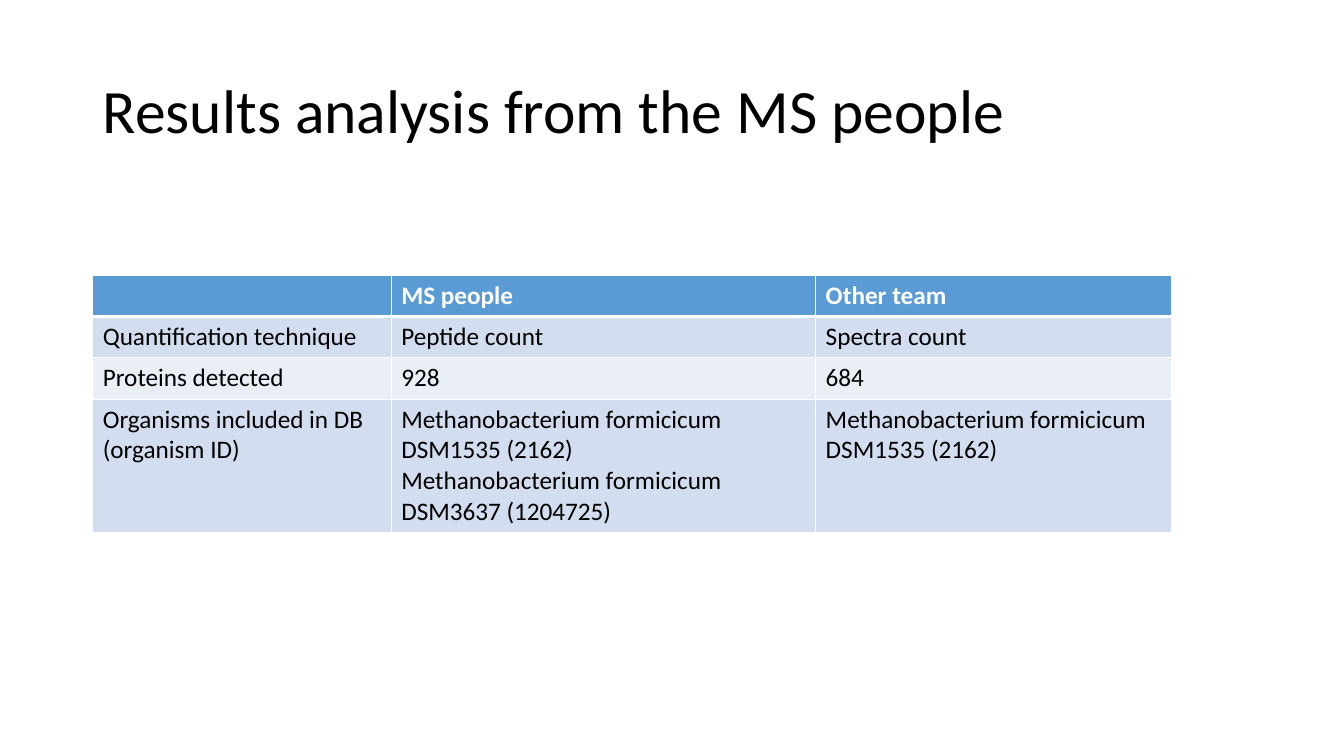
from dataclasses import dataclass

import pptx
import pptx.dml.color
import pptx.enum.text
import pptx.oxml
import pptx.oxml.ns
import pptx.util
from pptx.util import Inches

WHITE = pptx.dml.color.RGBColor(0xFF, 0xFF, 0xFF)
BLACK = pptx.dml.color.RGBColor(0x00, 0x00, 0x00)
BLUE = pptx.dml.color.RGBColor(0x5B, 0x9B, 0xD5)
BAND_DARK = pptx.dml.color.RGBColor(0xD2, 0xDE, 0xEF)
BAND_LIGHT = pptx.dml.color.RGBColor(0xEA, 0xEF, 0xF7)
FONT = "Calibri"

DSM1535 = "Methanobacterium formicicum DSM1535 (2162)"
DSM3637 = "Methanobacterium formicicum DSM3637 (1204725)"
COLUMN_WIDTHS = (2.96, 4.21, 3.53)


@dataclass(frozen=True)
class Row:
    cells: tuple[str, ...]
    fill: pptx.dml.color.RGBColor
    height: float = 0.41
    color: pptx.dml.color.RGBColor = BLACK
    bold: bool = False
    top: int = 1
    bottom: int = 1


ROWS = (
    Row(("", "MS people", "Other team"), BLUE, color=WHITE, bold=True, bottom=3),
    Row(("Quantification technique", "Peptide count", "Spectra count"), BAND_DARK, top=3),
    Row(("Proteins detected", "928", "684"), BAND_LIGHT),
    Row(("Organisms included in DB (organism ID)", f"{DSM1535}\n{DSM3637}", DSM1535),
        BAND_DARK, height=1.31),
)


def add_run(p, text: str, size: int, color: pptx.dml.color.RGBColor, bold: bool = False) -> None:
    r = p.add_run()
    r.text = text
    r.font.name = FONT
    r.font.size = pptx.util.Pt(size)
    r.font.bold = bold
    r.font.color.rgb = color


def set_borders(cell, row: Row) -> None:
    """Draw white cell borders, with widths in points taken from the row."""
    tc_pr = cell._tc.get_or_add_tcPr()
    widths = {"lnL": 1, "lnR": 1, "lnT": row.top, "lnB": row.bottom}
    for i, (tag, width) in enumerate(widths.items()):
        tc_pr.insert(i, pptx.oxml.parse_xml(
            f'<a:{tag} {pptx.oxml.ns.nsdecls("a")} w="{pptx.util.Pt(width)}">'
            f'<a:solidFill><a:srgbClr val="{WHITE}"/></a:solidFill></a:{tag}>'))


def add_title(s, text: str) -> None:
    sp = s.shapes.title
    sp.left, sp.top, sp.width, sp.height = map(Inches, (0.92, 0.4, 11.5, 1.45))
    tf = sp.text_frame
    tf.word_wrap = True
    tf.auto_size = pptx.enum.text.MSO_AUTO_SIZE.NONE
    tf.vertical_anchor = pptx.enum.text.MSO_ANCHOR.MIDDLE
    p = tf.paragraphs[0]
    p.alignment = pptx.enum.text.PP_ALIGN.LEFT
    p.line_spacing = 0.9
    add_run(p, text, 44, BLACK)


def add_results_table(s) -> None:
    height = sum(row.height for row in ROWS)
    table = s.shapes.add_table(len(ROWS), len(COLUMN_WIDTHS), Inches(0.92), Inches(2.73),
                               Inches(sum(COLUMN_WIDTHS)), Inches(height)).table
    for column, width in zip(table.columns, COLUMN_WIDTHS):
        column.width = Inches(width)
    for i, row in enumerate(ROWS):
        table.rows[i].height = Inches(row.height)
        for cell, text in zip(table.rows[i].cells, row.cells):
            cell.fill.solid()
            cell.fill.fore_color.rgb = row.fill
            set_borders(cell, row)
            tf = cell.text_frame
            for j, line in enumerate(text.splitlines()):
                p = tf.add_paragraph() if j else tf.paragraphs[0]
                add_run(p, line, 18, row.color, row.bold)


def main() -> None:
    prs = pptx.Presentation()
    prs.slide_width, prs.slide_height = Inches(13.33), Inches(7.5)
    s = prs.slides.add_slide(prs.slide_layouts.get_by_name("Title Only"))
    add_title(s, "Results analysis from the MS people")
    add_results_table(s)
    prs.save("out.pptx")


if __name__ == "__main__":
    main()
